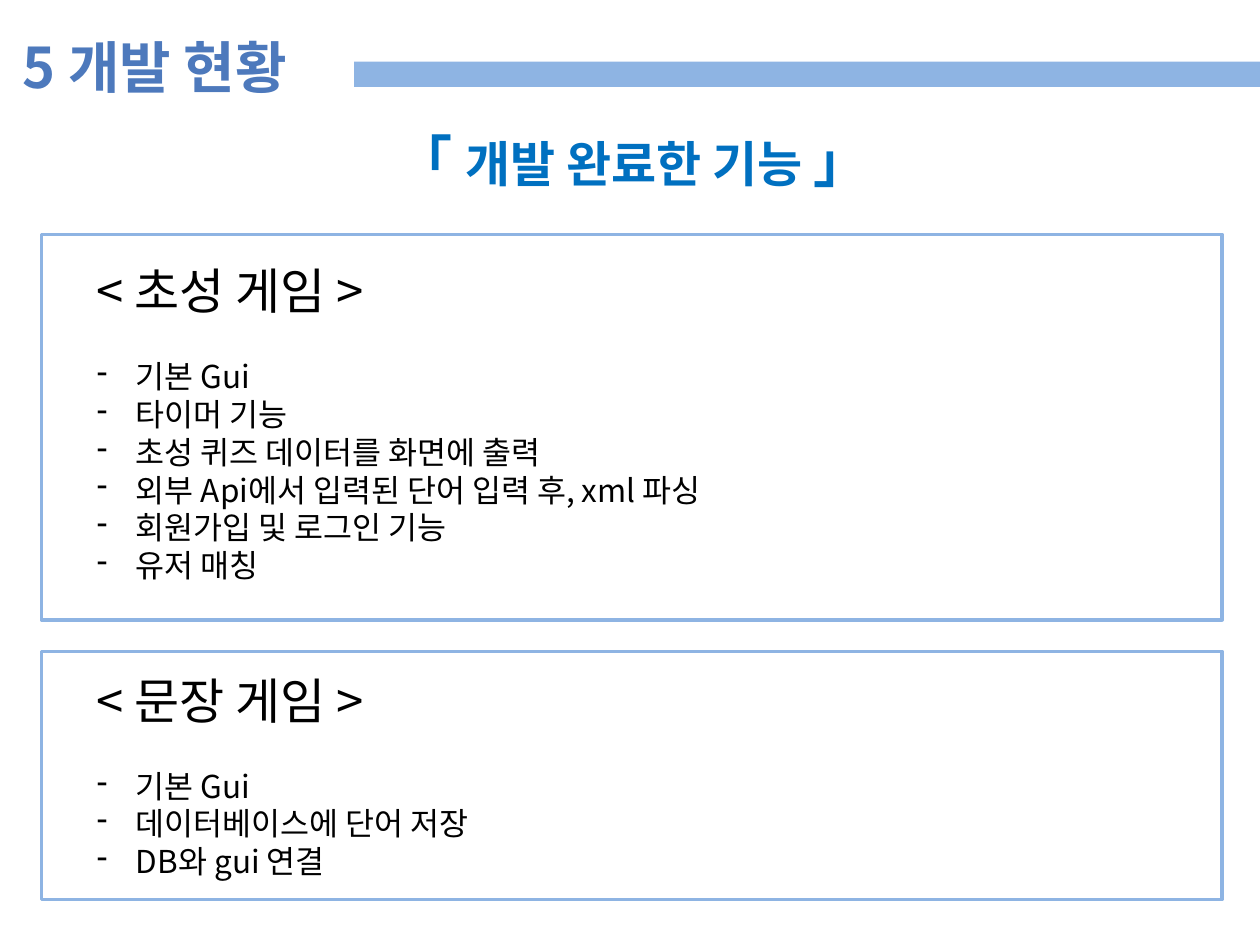
from lxml import etree
from pptx import Presentation
from pptx import util as u
from pptx.dml.color import RGBColor
from pptx.enum import shapes, text
from pptx.oxml.ns import qn

COLORS = {"bar": "8EB4E3", "title": "4D79BC", "heading": "0070C0", "body": "000000"}
FONT = "Noto Sans CJK KR"


class Deck:
    """Holds the style and the current slide, and draws each kind of element."""

    def __init__(self, width, height):
        self.prs = Presentation()
        self.prs.slide_width, self.prs.slide_height = u.Inches(width), u.Inches(height)
        self.s = self.prs.slides.add_slide(self.prs.slide_layouts[6])

    def rect(self, box, fill=None, line=None):
        sp = self.s.shapes.add_shape(shapes.MSO_SHAPE.RECTANGLE, *map(u.Inches, box))
        sp.shadow.inherit = False
        if fill:
            sp.fill.solid()
            sp.fill.fore_color.rgb = RGBColor.from_string(COLORS[fill])
        else:
            sp.fill.background()
        if line:
            sp.line.color.rgb = RGBColor.from_string(COLORS[line])
            sp.line.width = u.Pt(2)
        else:
            sp.line.fill.background()

    def text_box(self, box, wrap=True):
        tf = self.s.shapes.add_textbox(*map(u.Inches, box)).text_frame
        tf.word_wrap = wrap
        tf.auto_size = text.MSO_AUTO_SIZE.SHAPE_TO_FIT_TEXT
        return tf

    def run(self, p, words, size, color, bold=False):
        r = p.add_run()
        r.text = words
        r.font.size, r.font.bold, r.font.name = u.Pt(size), bold, FONT
        r.font.color.rgb = RGBColor.from_string(COLORS[color])
        etree.SubElement(r.font._element, qn("a:ea"), typeface=FONT)

    def bullet(self, p):
        pPr = p._p.get_or_add_pPr()
        indent = u.Inches(0.31)
        pPr.set("marL", str(indent))
        pPr.set("indent", str(-indent))
        etree.SubElement(pPr, qn("a:buFontTx"))
        etree.SubElement(pPr, qn("a:buChar"), char="-")

    def feature_list(self, box, heading, items):
        tf = self.text_box(box)
        self.run(tf.paragraphs[0], heading, 28, "body")
        for i, item in enumerate(items):
            p = tf.add_paragraph()
            if i == 0:
                p.space_before = u.Pt(21.5)
            self.bullet(p)
            self.run(p, item, 18, "body")


deck = Deck(10, 7.5)
deck.rect((2.81, 0.49, 7.39, 0.2), fill="bar")

title = deck.text_box((0.08, 0.21, 2.57, 0.64), wrap=False)
deck.run(title.paragraphs[0], "5 개발 현황", 32, "title", bold=True)

p = deck.text_box((2.99, 0.69, 4.17, 0.91)).paragraphs[0]
p.alignment, p.line_spacing = text.PP_ALIGN.CENTER, 1.5
for words, size in (("「 ", 32), ("개발 완료한 기능 ", 28), ("」 ", 32)):
    deck.run(p, words, size, "heading", bold=True)

deck.feature_list((0.67, 2.02, 8.74, 2.69), "< 초성 게임 >", [
    "기본 Gui",
    "타이머 기능",
    "초성 퀴즈 데이터를 화면에 출력",
    "외부 Api에서 입력된 단어 입력 후, xml 파싱",
    "회원가입 및 로그인 기능",
    "유저 매칭",
])
deck.feature_list((0.67, 5.27, 8.82, 1.78), "< 문장 게임 >", [
    "기본 Gui",
    "데이터베이스에 단어 저장",
    "DB와 gui 연결",
])

for top, height in ((1.86, 3.06), (5.17, 1.97)):
    deck.rect((0.33, top, 9.37, height), line="bar")

deck.prs.save("out.pptx")
